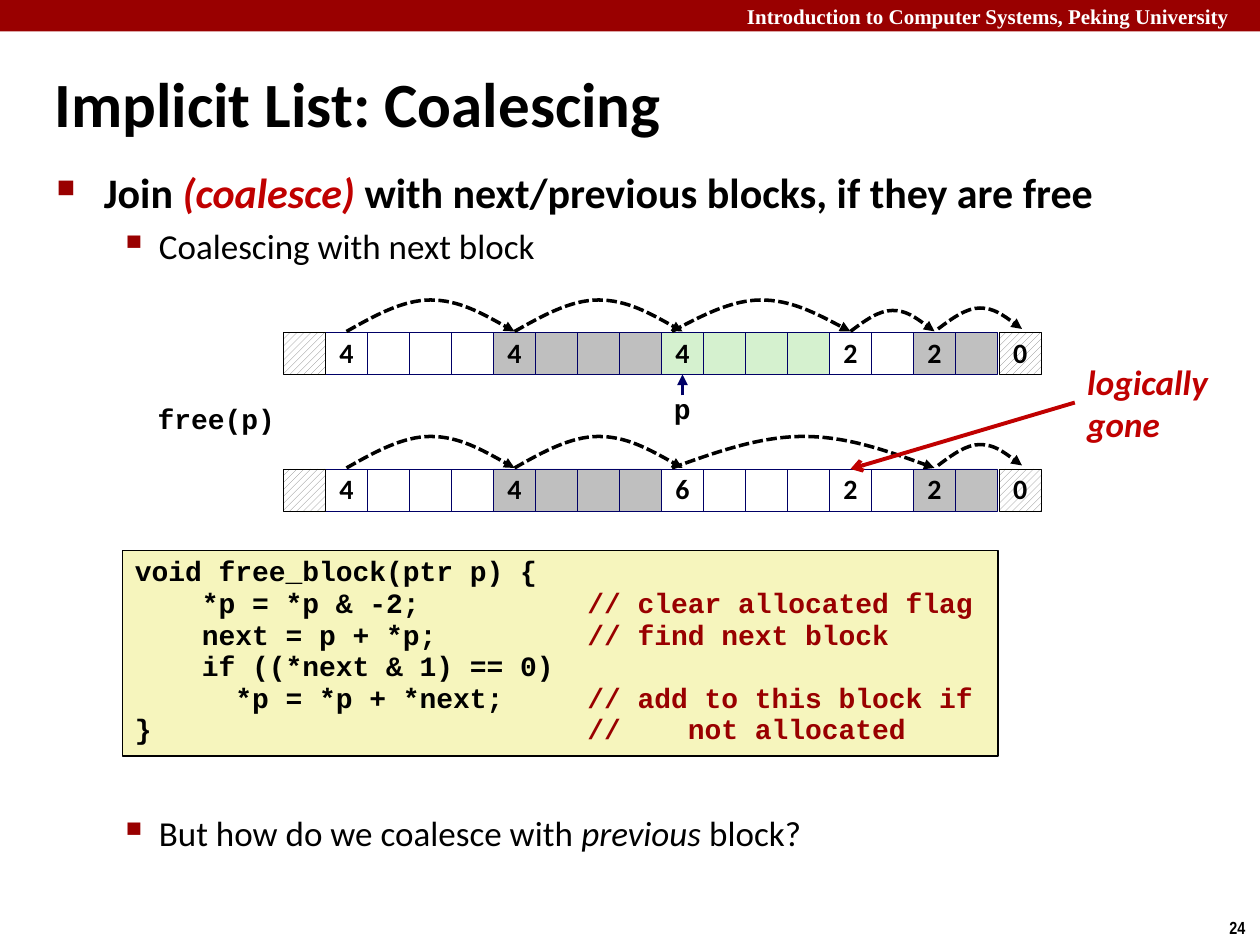
"""Build the slide on coalescing blocks in an implicit free list."""
from dataclasses import dataclass
from itertools import chain, repeat

from lxml.etree import SubElement
from pptx import Presentation
from pptx.dml.color import RGBColor as RGB
from pptx.enum.dml import MSO_LINE_DASH_STYLE as DASH, MSO_PATTERN_TYPE as PATTERN
from pptx.enum.shapes import MSO_CONNECTOR_TYPE as CONN, MSO_SHAPE as SHAPE
from pptx.enum.text import MSO_ANCHOR as ANCHOR, PP_ALIGN as ALIGN
from pptx.oxml.ns import qn
from pptx.util import Pt


@dataclass(frozen=True)
class Theme:
    """Colours, fonts and type sizes of the slide."""
    crimson: str = "990000"
    red: str = "C00000"
    navy: str = "000066"
    black: str = "000000"
    white: str = "FFFFFF"
    cream: str = "F6F5BD"
    grey: str = "BFBFBF"
    light_grey: str = "C0C0C0"
    green: str = "D5F1CF"
    hatch: str = "808080"
    sans: str = "Calibri"
    mono: str = "Courier New"
    serif: str = "Times New Roman"
    narrow: str = "Arial Narrow"
    title: int = 36
    lead: int = 24
    body: int = 20
    small: int = 16
    header: int = 12
    number: int = 10


@dataclass(frozen=True)
class Block:
    """A run of cells whose first cell holds the block size."""
    label: str
    cells: int
    fill: str


@dataclass(frozen=True)
class Arc:
    """A jump from one block to the next."""
    start: float
    end: float
    rise: float = 18
    lift: float = 0.6


@dataclass(frozen=True)
class HeapRow:
    """One state of the heap."""
    top: float
    blocks: tuple
    arcs: tuple


@dataclass(frozen=True)
class Bullet:
    """A bulleted paragraph given as (text, format) runs."""
    runs: tuple
    glyph: str
    scale: int
    left: float
    hang: float
    spacing: float
    before: float


T = Theme()
CELL, ROW_LEFT, END_GAP = 24, 186, 1
SANS = {"name": T.sans, "size": Pt(T.small), "bold": True}
MONO = {**SANS, "name": T.mono}
BODY = {**SANS, "size": Pt(T.body), "bold": False}
LEAD = {**SANS, "size": Pt(T.lead)}
WHITE4, GREY4 = Block("4", 4, T.white), Block("4", 4, T.grey)
WHITE2, GREY2 = Block("2", 2, T.white), Block("2", 2, T.light_grey)
LAST_ARC = Arc(536, 584, 12, 2)
FIRST_ARCS = (Arc(198, 294), Arc(294, 390))
ROWS = (
    HeapRow(190, (WHITE4, GREY4, Block("4", 4, T.green), WHITE2, GREY2),
            FIRST_ARCS + (Arc(384, 486), Arc(486, 534, 12), LAST_ARC)),
    HeapRow(268, (WHITE4, GREY4, Block("6", 4, T.white), WHITE2, GREY2),
            FIRST_ARCS + (Arc(384, 534), LAST_ARC)),
)
BULLETS = (
    Bullet((("Join ", LEAD), ("(coalesce) ", {**LEAD, "italic": True, "color": T.red}),
            ("with next/previous blocks, if they are free", LEAD)),
           "■", 60, 27, 27, 0.83, 0),
    Bullet((("Coalescing with next block", BODY),), "▪", 110, 58.5, 22.5, 0.88, 7.5),
    Bullet((("But how do we coalesce with ", BODY), ("previous", {**BODY, "italic": True}),
            (" block?", BODY)), "▪", 110, 58.5, 22.5, 0.88, 314.5),
)
CODE = (
    ("void free_block(ptr p) {", ""),
    ("    *p = *p & -2;", "// clear allocated flag"),
    ("    next = p + *p;", "// find next block"),
    ("    if ((*next & 1) == 0)", ""),
    ("      *p = *p + *next;", "// add to this block if"),
    ("}", "//    not allocated"),
)


def add_run(p, text: str, fmt: dict) -> None:
    """Append a formatted run."""
    r = p.add_run()
    r.text = text
    for key, value in {"color": T.black, **fmt}.items():
        if key == "color":
            r.font.color.rgb = RGB.from_string(value)
        else:
            setattr(r.font, key, value)


def add_text(s, box: tuple, lines: tuple, fmt: dict, **frame):
    """Add a text box with one paragraph for each line."""
    sp = s.shapes.add_textbox(*map(Pt, box))
    tf = sp.text_frame
    for key, value in {"word_wrap": True, **frame}.items():
        setattr(tf, key, value)
    for i, line in enumerate(lines):
        add_run(tf.add_paragraph() if i else tf.paragraphs[0], line, fmt)
    return sp


def add_rect(s, box: tuple, fill: str, line: str = "", width: float = 0.25):
    """Add a flat rectangle, outlined when a line colour is given."""
    sp = s.shapes.add_shape(SHAPE.RECTANGLE, *map(Pt, box))
    sp.shadow.inherit = False
    sp.fill.solid()
    sp.fill.fore_color.rgb = RGB.from_string(fill)
    if line:
        sp.line.color.rgb = RGB.from_string(line)
        sp.line.width = Pt(width)
    else:
        sp.line.fill.background()
    return sp


def add_cell(s, left: float, top: float, fill: str, label: str = "", line: str = T.navy):
    """Add one heap cell with an optional size in it."""
    sp = add_rect(s, (left, top, CELL, CELL), fill, line)
    if label:
        tf = sp.text_frame
        tf.word_wrap, tf.vertical_anchor = False, ANCHOR.MIDDLE
        p = tf.paragraphs[0]
        p.alignment, p.line_spacing = ALIGN.CENTER, 0.98
        add_run(p, label, SANS)
    return sp


def add_end_cell(s, left: float, top: float, label: str = "") -> None:
    """Add a hatched cell at an end of the heap."""
    sp = add_cell(s, left, top, T.white, label, T.black)
    sp.fill.patterned()
    sp.fill.pattern = PATTERN.WIDE_UPWARD_DIAGONAL
    sp.fill.fore_color.rgb = RGB.from_string(T.hatch)
    sp.fill.back_color.rgb = RGB.from_string(T.white)


def style_arrow(sp, color: str, width: float, head: str) -> None:
    """Colour a line and put an arrowhead at its end."""
    sp.line.color.rgb = RGB.from_string(color)
    sp.line.width = Pt(width)
    SubElement(sp.line._get_or_add_ln(), qn("a:tailEnd"), type=head)


def add_arc(s, arc: Arc, row_top: float) -> None:
    """Draw a dashed arc from two cubic curves."""
    w, h, base = arc.end - arc.start, arc.rise, row_top - arc.lift
    steps = ((1 / 6, h / 2), (1 / 3, h), (1 / 2, h), (2 / 3, h), (5 / 6, h / 2), (1, 0))
    points = [(Pt(arc.start + w * x), Pt(base - y)) for x, y in steps]
    fb = s.shapes.build_freeform(Pt(arc.start), Pt(base))
    fb.add_line_segments(points, close=False)
    sp = fb.convert_to_shape()
    outline = sp._element.find(".//" + qn("a:path"))
    segments = outline.findall(qn("a:lnTo"))
    for i in (0, 3):
        curve = SubElement(outline, qn("a:cubicBezTo"))
        for segment in segments[i:i + 3]:
            curve.append(segment[0])
            outline.remove(segment)
    sp.shadow.inherit = False
    sp.fill.background()
    sp.line.dash_style = DASH.SQUARE_DOT
    style_arrow(sp, T.black, 2, "triangle")


def add_row(s, row: HeapRow) -> list:
    """Draw a heap row and return its cells."""
    specs = chain.from_iterable(
        zip(chain((b.label,), repeat("", b.cells - 1)), repeat(b.fill)) for b in row.blocks)
    cells = [add_cell(s, ROW_LEFT + i * CELL, row.top, fill, label)
             for i, (label, fill) in enumerate(specs)]
    add_end_cell(s, ROW_LEFT - CELL, row.top)
    add_end_cell(s, ROW_LEFT + len(cells) * CELL + END_GAP, row.top, "0")
    for arc in row.arcs:
        add_arc(s, arc, row.top)
    return cells


def add_arrow(s, start: tuple, cell, side: int, color: str, width: float, head: str):
    """Draw a straight arrow that ends on a cell."""
    x, y = map(Pt, start)
    sp = s.shapes.add_connector(CONN.STRAIGHT, x, y, x, y)
    sp.end_connect(cell, side)
    style_arrow(sp, color, width, head)
    SubElement(sp._element.spPr, qn("a:effectLst"))
    return sp


def add_bullets(s, box: tuple, bullets: tuple) -> None:
    """Add the bulleted body text."""
    tf = add_text(s, box, (), BODY).text_frame
    for i, b in enumerate(bullets):
        p = tf.add_paragraph() if i else tf.paragraphs[0]
        p.line_spacing, p.space_before = b.spacing, Pt(b.before)
        pPr = p._p.get_or_add_pPr()
        pPr.set("marL", str(Pt(b.left)))
        pPr.set("indent", str(-Pt(b.hang)))
        SubElement(SubElement(pPr, qn("a:buClr")), qn("a:srgbClr"), val=T.crimson)
        SubElement(pPr, qn("a:buSzPct"), val=str(b.scale * 1000))
        SubElement(pPr, qn("a:buChar"), char=b.glyph)
        for text, fmt in b.runs:
            add_run(p, text, fmt)


def add_code(s, box: tuple) -> None:
    """Add the code panel with its comments in one column."""
    tf = add_rect(s, box, T.cream, T.black, 1).text_frame
    tf.word_wrap, tf.vertical_anchor = True, ANCHOR.TOP
    p = tf.paragraphs[0]
    p.alignment, p.line_spacing = ALIGN.LEFT, 0.94
    for i, (code, comment) in enumerate(CODE):
        if i:
            p.add_line_break()
        add_run(p, f"{code:<27}" if comment else code, MONO)
        if comment:
            add_run(p, comment, {**MONO, "color": T.crimson})


def main() -> None:
    """Build and save the slide."""
    prs = Presentation()
    prs.slide_width, prs.slide_height = Pt(720), Pt(540)
    s = prs.slides.add_slide(prs.slide_layouts[6])
    add_rect(s, (0, 0, 720, 18), T.crimson)
    add_text(s, (419.75, 0, 300, 18), ("Introduction to Computer Systems, Peking University",),
             {"name": T.serif, "size": Pt(T.header), "bold": True, "color": T.white},
             margin_top=0, margin_bottom=0, vertical_anchor=ANCHOR.MIDDLE)
    add_text(s, (695.5, 520.5, 24.5, 19.5), ("24",),
             {"name": T.narrow, "size": Pt(T.number), "bold": True}, word_wrap=False)
    add_text(s, (24, 36, 533, 45), ("Implicit List: Coalescing",),
             {**SANS, "size": Pt(T.title)}, vertical_anchor=ANCHOR.MIDDLE)
    add_bullets(s, (25.2, 96.5, 654.5, 432), BULLETS)
    add_code(s, (70, 314.6, 500.4, 117.4))
    before, after = (add_row(s, row) for row in ROWS)
    add_text(s, (83, 226, 82, 26), ("free(p)",), MONO, word_wrap=False)
    add_text(s, (378, 220.3, 24, 26), ("p",), MONO, word_wrap=False)
    add_arrow(s, (390, 226), before[8], 2, T.navy, 2, "triangle")
    gone = add_text(s, (614.2, 202.3, 83.5, 55.5), ("logically", "gone"),
                    {**SANS, "size": Pt(T.body), "italic": True, "color": T.red},
                    word_wrap=False)
    add_arrow(s, (614.2, 230), after[12], 0, T.red, 2.25, "arrow").begin_connect(gone, 1)
    prs.save("out.pptx")


if __name__ == "__main__":
    main()
